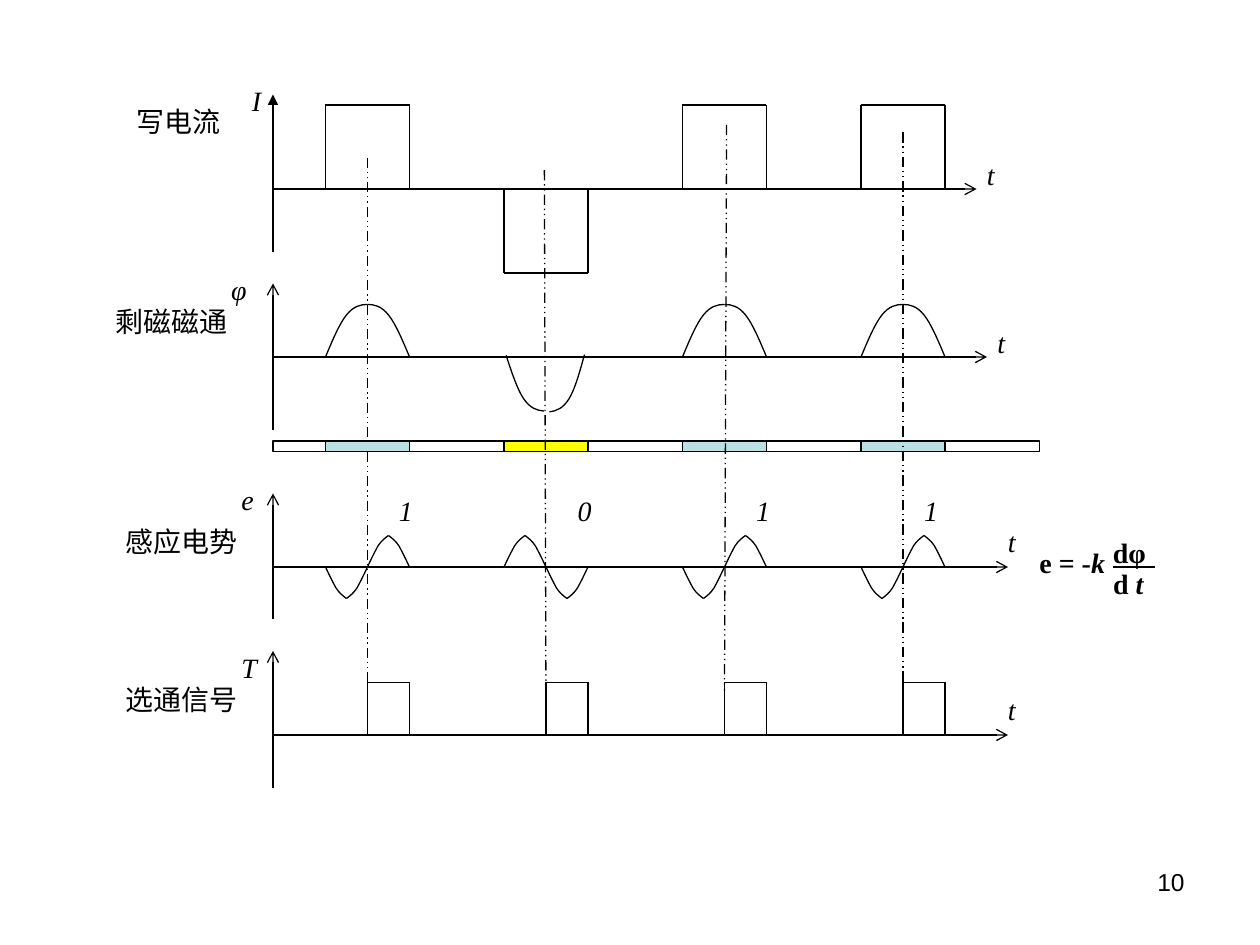
from collections import namedtuple

from lxml import etree
from pptx import Presentation, util as u
from pptx.dml.color import RGBColor
from pptx.enum import dml, shapes, text
from pptx.oxml import ns

COLORS = {"ink": "000000", "paper": "FFFFFF", "one": "BBE0E3", "zero": "FFFF00"}
CELLS_PER_INCH = 12
BITS = "1011"
FIRST_PULSE, PULSE_STEP, PULSE_WIDTH = 5, 17, 8
TEXT_HEIGHT = 3.2
FLUX_HALF = [(0, 0), (0.67, 0), (1.33, 0.17), (2, 1), (2.67, 1.83), (3.33, 3.4), (4, 5)]
EMF_HALF = [(0, 0), (0.33, 0.25), (0.67, 0.5), (1, 1), (1.33, 1.6), (1.67, 2.3), (2, 3)]

Box = namedtuple("Box", "left top width height")
Axes = namedtuple("Axes", "box base head symbol symbol_at symbol_width name name_at name_width time_at")

CURRENT = Axes(Box(26, 9, 67, 15), 9, "triangle", "I", (-2, -1), 1, "写电流", (-13, 1), 8, (1, -3))
FLUX = Axes(Box(26, 27, 68, 14), 7, "arrow", "φ", (-4, -1), 3, "剩磁磁通", (-15, 2), 11, (1, -3))
EMF = Axes(Box(26, 47, 70, 12), 7, "arrow", "e", (-3, -1), 1, "感应电势", (-14, 3), 12, (0, -4))
STROBE = Axes(Box(26, 62, 70, 13), 8, "arrow", "T", (-3, 0), 2, "选通信号", (-14, 3), 11, (0, -4))
TRACK = Box(26, 42, 73, 1)
GUIDE_AREA = Box(26, 12, 64, 55)
GUIDES = [((9, 3), (9, 53.3)), ((25.85, 4.2), (26, 54.6)),
          ((43.2, -0.1), (43, 53.8)), ((60, 0.6), (60, 53.8))]
FORMULA = Box(99, 51, 11, 6)
NUMBER = Box(86, 82, 28, 6.2)


def cell(count):
    return u.Inches(count / CELLS_PER_INCH)


def color(name):
    return RGBColor.from_string(COLORS[name])


def apply(target, values):
    for name, value in values.items():
        setattr(target, name, value)


def style_line(line):
    line.fill.solid()
    line.fill.fore_color.rgb = color("ink")
    line.width = u.Pt(0.75)


def draw_line(slide, start, end, dash=None, **ends):
    connector = slide.shapes.add_connector(
        shapes.MSO_CONNECTOR.STRAIGHT, *map(cell, (*start, *end)))
    style_line(connector.line)
    if dash:
        connector.line.dash_style = dash
    stroke = connector.line._get_or_add_ln()
    for tag, kind in ends.items():
        etree.SubElement(stroke, ns.qn("a:" + tag)).set("type", kind)
    etree.SubElement(connector._element.spPr, ns.qn("a:effectLst"))


def draw_text(slide, box, runs, size=16, font="Times New Roman", margins=(0, 0),
              align=None, before=10, fit=text.MSO_AUTO_SIZE.SHAPE_TO_FIT_TEXT):
    frame = slide.shapes.add_textbox(*map(cell, box)).text_frame
    across, down = map(u.Inches, margins)
    apply(frame, {"word_wrap": True, "auto_size": fit, "margin_left": across,
                  "margin_right": across, "margin_top": down, "margin_bottom": down})
    paragraph = frame.paragraphs[0]
    apply(paragraph, {"alignment": align, "space_before": u.Pt(before)})
    for words, look in runs:
        run = paragraph.add_run()
        run.text = words
        apply(run.font, {"name": font, "size": u.Pt(size), **look})
        run.font.color.rgb = color("ink")


def draw_curve(slide, apex, profile, side, rise, turn=0):
    x, y = apex
    points = [(cell(x + side * dx), cell(y + rise * dy)) for dx, dy in profile]
    builder = slide.shapes.build_freeform(*points[0])
    builder.add_line_segments(points[1:], close=False)
    shape = builder.convert_to_shape()
    shape.shadow.inherit = False
    shape.fill.background()
    style_line(shape.line)
    shape.rotation = turn
    outline = shape._element.find(".//" + ns.qn("a:path"))
    segments = outline.findall(ns.qn("a:lnTo"))
    for first in range(0, len(segments), 3):
        curve = etree.SubElement(outline, ns.qn("a:cubicBezTo"))
        for segment in segments[first:first + 3]:
            curve.append(segment[0])
            outline.remove(segment)


def draw_pulse(slide, left, base, width, height):
    right, top = left + width, base - height
    draw_line(slide, (left, top), (left, base))
    draw_line(slide, (right, top), (right, base))
    draw_line(slide, (left, top), (right, top))


def pulses(box):
    for index, bit in enumerate(BITS):
        yield box.left + FIRST_PULSE + index * PULSE_STEP, bit


def draw_axes(slide, axes):
    box = axes.box
    base, right = box.top + axes.base, box.left + box.width
    draw_line(slide, (box.left, box.top), (box.left, box.top + box.height), headEnd=axes.head)
    draw_line(slide, (box.left, base), (right, base), tailEnd="arrow")
    labels = [(axes.symbol, box.left, box.top, axes.symbol_at, axes.symbol_width, True),
              (axes.name, box.left, box.top, axes.name_at, axes.name_width, None),
              ("t", right, base, axes.time_at, 1, True)]
    for words, x, y, (dx, dy), width, italic in labels:
        draw_text(slide, Box(x + dx, y + dy, width, TEXT_HEIGHT), [(words, {"italic": italic})])
    return base


def draw_current(slide, axes):
    base = draw_axes(slide, axes)
    for left, bit in pulses(axes.box):
        draw_pulse(slide, left, base, PULSE_WIDTH, 8 if bit == "1" else -8)


def draw_flux(slide, axes):
    base = draw_axes(slide, axes)
    for left, bit in pulses(axes.box):
        rise, turns = (1, (0, 0)) if bit == "1" else (-1, (4.5, -7.2))
        for side, turn in zip((-1, 1), turns):
            draw_curve(slide, (left + PULSE_WIDTH / 2, base - 5 * rise),
                       FLUX_HALF, side, rise, turn)


def draw_emf(slide, axes):
    base = draw_axes(slide, axes)
    label_lefts = [12, 29, 46, 62]
    for (left, bit), label_left in zip(pulses(axes.box), label_lefts):
        first = -1 if bit == "1" else 1
        for center, rise in ((left + 2, first), (left + 6, -first)):
            for side in (-1, 1):
                draw_curve(slide, (center, base - 3 * rise), EMF_HALF, side, rise)
        draw_text(slide, Box(axes.box.left + label_left, axes.box.top, 3, TEXT_HEIGHT),
                  [(bit, {"italic": True})])


def draw_strobe(slide, axes):
    base = draw_axes(slide, axes)
    half = PULSE_WIDTH / 2
    for left, _ in pulses(axes.box):
        draw_pulse(slide, left + half, base, half, 5)


def draw_track(slide, box):
    segments, gap_left = [], box.left
    for left, bit in pulses(box):
        segments += [(gap_left, left, "paper"),
                     (left, left + PULSE_WIDTH, "one" if bit == "1" else "zero")]
        gap_left = left + PULSE_WIDTH
    segments.append((gap_left, box.left + box.width, "paper"))
    for left, right, fill in segments:
        shape = slide.shapes.add_shape(
            shapes.MSO_SHAPE.RECTANGLE, *map(cell, (left, box.top, right - left, box.height)))
        shape.shadow.inherit = False
        shape.fill.solid()
        shape.fill.fore_color.rgb = color(fill)
        style_line(shape.line)


def draw_guides(slide, box, guides):
    for ends in guides:
        start, end = [(box.left + x, box.top + y) for x, y in ends]
        draw_line(slide, start, end, dml.MSO_LINE.DASH_DOT_DOT)


def draw_formula(slide, box):
    bold, slanted = {"bold": True}, {"bold": True, "italic": True}
    fraction, bar = box.left + 7, box.top + 3
    draw_text(slide, Box(box.left, box.top + 1, 7, TEXT_HEIGHT), [("e = -", bold), ("k", slanted)])
    draw_text(slide, Box(fraction, box.top, 5, TEXT_HEIGHT), [("dφ", bold)])
    draw_text(slide, Box(fraction, bar, 4, TEXT_HEIGHT), [("d ", bold), ("t", slanted)])
    draw_line(slide, (fraction, bar), (fraction + 4, bar))


def draw_number(slide, box):
    draw_text(slide, box, [("10", {})], 14, "Arial", (0.1, 0.05),
              text.PP_ALIGN.RIGHT, 0, text.MSO_AUTO_SIZE.NONE)


def main():
    presentation = Presentation()
    apply(presentation, {"slide_width": u.Inches(10), "slide_height": u.Inches(7.5)})
    slide = presentation.slides.add_slide(presentation.slide_layouts[6])
    draw_current(slide, CURRENT)
    draw_flux(slide, FLUX)
    draw_emf(slide, EMF)
    draw_guides(slide, GUIDE_AREA, GUIDES[:1])
    draw_track(slide, TRACK)
    draw_strobe(slide, STROBE)
    draw_guides(slide, GUIDE_AREA, GUIDES[1:])
    draw_formula(slide, FORMULA)
    draw_number(slide, NUMBER)
    presentation.save("out.pptx")


if __name__ == "__main__":
    main()
